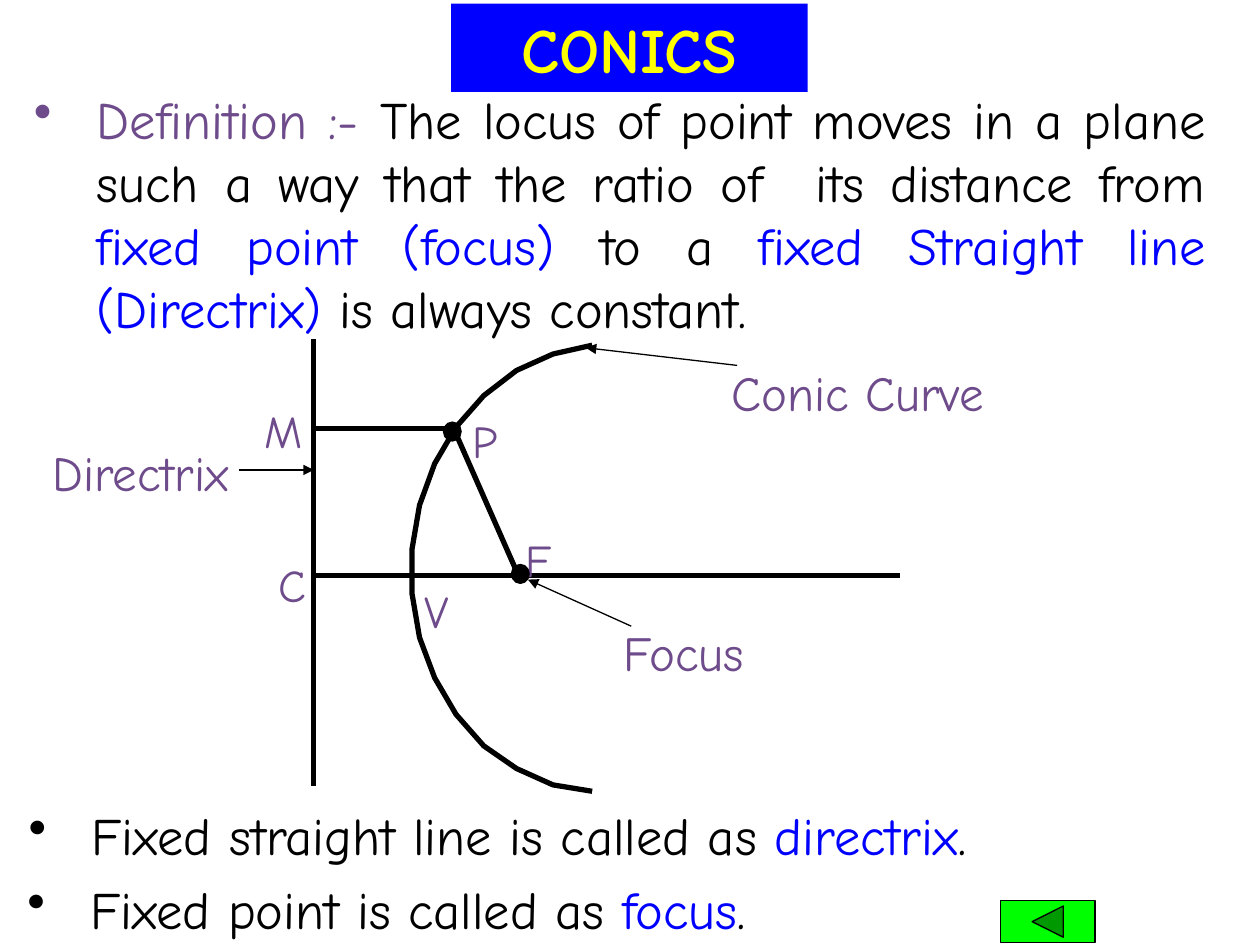
from typing import NamedTuple

from lxml.etree import SubElement
from pptx import Presentation
from pptx.dml.color import RGBColor
from pptx.enum.shapes import MSO_CONNECTOR as Link, MSO_SHAPE as Kind
from pptx.enum.text import MSO_AUTO_SIZE as Auto, PP_ALIGN as Align
from pptx.oxml.ns import qn
from pptx.util import Inches, Pt

FONT = "Comic Neue"
BLACK, BLUE, PLUM = "000000", "0000FF", "6E4B8B"
YELLOW, GREEN = "FFFF00", "00FF00"
THICK, THIN = 3, 0.75


class Box(NamedTuple):
    left: float
    top: float
    width: float
    height: float


class Run(NamedTuple):
    text: str
    color: str = BLACK


class Point(NamedTuple):
    box: Box
    runs: list[Run]
    space: float = 1.3


class Label(NamedTuple):
    text: str
    box: Box
    size: int = 26
    align: Align = Align.CENTER


class Line(NamedTuple):
    x1: float
    y1: float
    x2: float
    y2: float
    width: float = THICK
    arrow: bool = False


def paint(target, color: str) -> None:
    target.rgb = RGBColor.from_string(color)


def fill(target, color: str) -> None:
    target.solid()
    paint(target.fore_color, color)


def stroke(line, width: float) -> None:
    fill(line.fill, BLACK)
    line.width = Pt(width)


def add_run(para, run: Run, size: int, bold: bool = False) -> None:
    item = para.add_run()
    item.text = run.text
    item.font.name = FONT
    item.font.size = Pt(size)
    item.font.bold = bold
    paint(item.font.color, run.color)


def add_shape(slide, kind: Kind, box: Box, color: str, edge: bool = True):
    shape = slide.shapes.add_shape(kind, *map(Inches, box))
    shape.shadow.inherit = False
    fill(shape.fill, color)
    if edge:
        stroke(shape.line, THIN)
    else:
        shape.line.fill.background()
    return shape


def add_text(slide, box: Box, align: Align, space: float):
    frame = slide.shapes.add_textbox(*map(Inches, box)).text_frame
    frame.word_wrap = True
    frame.auto_size = Auto.SHAPE_TO_FIT_TEXT
    para = frame.paragraphs[0]
    para.alignment = align
    para.line_spacing = space
    return para


def add_point(slide, point: Point) -> None:
    para = add_text(slide, point.box, Align.JUSTIFY, point.space)
    props = para._p.get_or_add_pPr()
    props.set("marL", str(Inches(0.5)))
    props.set("indent", str(Inches(-0.5)))
    SubElement(props, qn("a:buChar")).set("char", "•")
    for run in point.runs:
        add_run(para, run, 30)


def add_label(slide, label: Label) -> None:
    para = add_text(slide, label.box, label.align, 1.3)
    add_run(para, Run(label.text, PLUM), label.size)


def add_line(slide, line: Line) -> None:
    ends = map(Inches, line[:4])
    link = slide.shapes.add_connector(Link.STRAIGHT, *ends)
    stroke(link.line, line.width)
    props = link._element.spPr
    if line.arrow:
        SubElement(props.find(qn("a:ln")), qn("a:tailEnd")).set("type", "triangle")
    SubElement(props, qn("a:effectLst"))


def add_curve(slide, arc: list[tuple[float, float, float]]) -> None:
    upper = [(Inches(x), Inches(top)) for x, top, _ in arc]
    lower = [(Inches(x), Inches(low)) for x, _, low in reversed(arc)]
    pen = slide.shapes.build_freeform(*upper[0])
    pen.add_line_segments(upper[1:] + lower, close=False)
    curve = pen.convert_to_shape()
    curve.shadow.inherit = False
    curve.fill.background()
    stroke(curve.line, THICK)


POINTS = [
    Point(Box(0.17, 0.64, 9.5, 2.1), [
        Run("Definition :- ", PLUM),
        Run("The locus of point moves in a plane such a way that "
            "the ratio of  its distance from "),
        Run("fixed point (focus)", BLUE),
        Run(" to a "),
        Run("fixed Straight line (Directrix)", BLUE),
        Run(" is always constant."),
    ], 1.0),
    Point(Box(0.12, 6.76, 7.17, 0.75),
          [Run("Fixed point is called as "), Run("focus", BLUE), Run(".")]),
    Point(Box(0.13, 6.17, 9.03, 0.75),
          [Run("Fixed straight line is called as "), Run("directrix", BLUE), Run(".")]),
]
ARC = [
    (4.7, 2.74, 6.28), (4.39, 2.81, 6.23), (4.1, 2.94, 6.1), (3.84, 3.14, 5.92),
    (3.62, 3.39, 5.67), (3.45, 3.68, 5.38), (3.33, 4.01, 5.06), (3.27, 4.36, 4.71),
]
LINES = [
    Line(2.49, 2.69, 2.49, 6.24),
    Line(3.6, 3.4, 4.12, 4.58),
    Line(2.48, 4.57, 7.14, 4.57),
    Line(2.48, 3.4, 3.6, 3.4),
    Line(5.01, 4.97, 4.19, 4.6, THIN, True),
    Line(5.85, 2.9, 4.65, 2.76, THIN, True),
    Line(1.9, 3.73, 2.49, 3.73, THIN, True),
]
LABELS = [
    Label("M", Box(1.94, 3.02, 0.62, 0.66)),
    Label("C", Box(2, 4.24, 0.65, 0.66)),
    Label("F", Box(3.99, 4.04, 0.57, 0.66)),
    Label("V", Box(3.22, 4.45, 0.44, 0.66), align=Align.RIGHT),
    Label("P", Box(3.63, 3.1, 0.44, 0.66)),
    Label("Focus", Box(4.78, 4.75, 1.3, 0.71), 28),
    Label("Conic Curve", Box(5.61, 2.69, 2.39, 0.71), 28),
    Label("Directrix", Box(0.08, 3.32, 2.07, 0.71), 28),
]
DOTS = [(4.06, 4.48), (3.52, 3.35)]


def main() -> None:
    deck = Presentation()
    deck.slide_width, deck.slide_height = Inches(10), Inches(7.5)
    slide = deck.slides.add_slide(deck.slide_layouts[6])

    title = add_shape(slide, Kind.RECTANGLE, Box(3.58, 0.03, 2.83, 0.7), BLUE, False)
    para = title.text_frame.paragraphs[0]
    para.alignment = Align.CENTER
    add_run(para, Run("CONICS", YELLOW), 36, True)

    for point in POINTS:
        add_point(slide, point)
    add_shape(slide, Kind.ACTION_BUTTON_BACK_OR_PREVIOUS,
              Box(7.94, 7.15, 0.75, 0.33), GREEN)
    add_curve(slide, ARC)
    for line in LINES:
        add_line(slide, line)
    for label in LABELS:
        add_label(slide, label)
    for left, top in DOTS:
        add_shape(slide, Kind.OVAL, Box(left, top, 0.14, 0.15), BLACK)

    deck.save("out.pptx")


if __name__ == "__main__":
    main()
